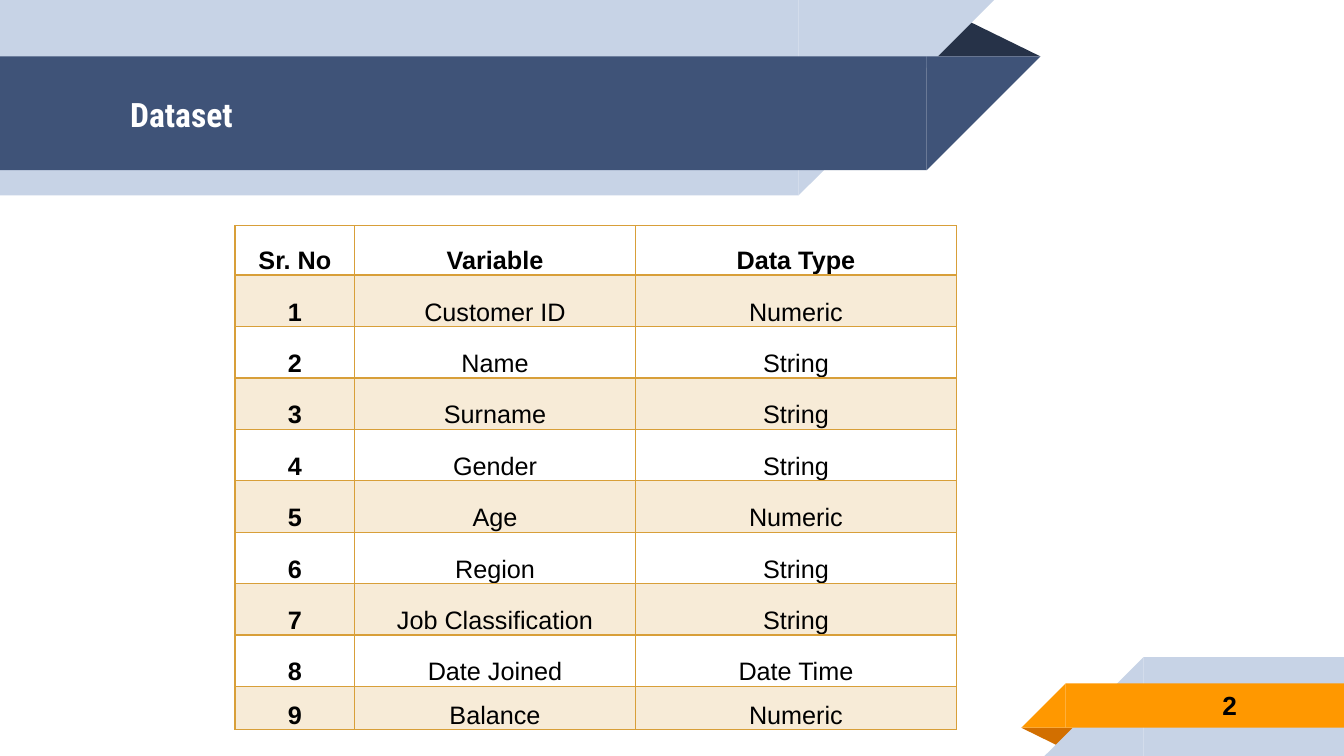
"""Build the Dataset slide: a ribbon title, a table of variables and a page number."""
from lxml import etree
from pptx import Presentation
from pptx.dml.color import RGBColor
from pptx.enum.shapes import MSO_SHAPE
from pptx.enum.text import MSO_ANCHOR, MSO_AUTO_SIZE, PP_ALIGN
from pptx.oxml.ns import qn
from pptx.util import Inches, Pt

RECT, CORNER, FOLD = MSO_SHAPE.RECTANGLE, MSO_SHAPE.RIGHT_TRIANGLE, MSO_SHAPE.ISOSCELES_TRIANGLE
LEFT, CENTER = PP_ALIGN.LEFT, PP_ALIGN.CENTER
MIDDLE, BOTTOM = MSO_ANCHOR.MIDDLE, MSO_ANCHOR.BOTTOM
NO_AUTOFIT = MSO_AUTO_SIZE.NONE

PALE = RGBColor(0xC7, 0xD3, 0xE6)
NAVY = RGBColor(0x3F, 0x53, 0x78)
DARK_NAVY = RGBColor(0x26, 0x32, 0x48)
ORANGE = RGBColor(0xFF, 0x98, 0x00)
DARK_ORANGE = RGBColor(0xD2, 0x6F, 0x00)
GOLD = RGBColor(0xD8, 0x9F, 0x39)
WHITE = RGBColor(0xFF, 0xFF, 0xFF)
BLACK = RGBColor(0, 0, 0)


def write(frame, text, size=18, font="Arial", color=BLACK, bold=False, align=CENTER, spacing=1.0):
    paragraph = frame.paragraphs[0]
    paragraph.alignment = align
    paragraph.line_spacing = spacing
    run = paragraph.add_run()
    run.text = text
    run.font.size = Pt(size)
    run.font.name = font
    run.font.bold = bold
    run.font.color.rgb = color


presentation = Presentation()
presentation.slide_width = Inches(13.33)
presentation.slide_height = Inches(7.5)
slide = presentation.slides.add_slide(presentation.slide_layouts[5])

ribbons = [
    (FOLD, 9.18, 0.18, 1.14, 0.38, DARK_NAVY, None),
    (RECT, 0, 0, 7.92, 1.94, PALE, None),
    (CORNER, 7.92, 0, 1.94, 1.94, PALE, "flipV"),
    (RECT, 0, 0.56, 9.19, 1.13, NAVY, None),
    (CORNER, 9.19, 0.56, 1.13, 1.13, NAVY, "flipV"),
    (FOLD, 10.13, 7.22, 0.57, 0.19, DARK_ORANGE, "flipV"),
    (RECT, 11.34, 6.52, 1.99, 0.98, PALE, None),
    (CORNER, 10.36, 6.52, 0.98, 0.98, PALE, "flipH"),
    (RECT, 10.57, 6.78, 2.76, 0.44, ORANGE, None),
    (CORNER, 10.13, 6.78, 0.44, 0.44, ORANGE, "flipH"),
]
for kind, left, top, width, height, color, flip in ribbons:
    ribbon = slide.shapes.add_shape(kind, Inches(left), Inches(top), Inches(width), Inches(height))
    ribbon.shadow.inherit = False
    ribbon.fill.solid()
    ribbon.fill.fore_color.rgb = color
    ribbon.line.fill.background()
    if flip:
        ribbon.element.spPr.find(qn("a:xfrm")).set(flip, "1")
    if kind == FOLD:
        ribbon.adjustments[0] = 0.68 if flip else 0.32

title = slide.shapes.title
title.left, title.top, title.width, title.height = Inches(1.19), Inches(0.57), Inches(7.67), Inches(1.12)
slide.shapes.element.append(title.element)
write(title.text_frame, "Dataset", size=24, font="Roboto Condensed", color=WHITE, bold=True, align=LEFT)

rows = [
    ("Sr. No", "Variable", "Data Type"),
    ("1", "Customer ID", "Numeric"),
    ("2", "Name", "String"),
    ("3", "Surname", "String"),
    ("4", "Gender", "String"),
    ("5", "Age", "Numeric"),
    ("6", "Region", "String"),
    ("7", "Job Classification", "String"),
    ("8", "Date Joined", "Date Time"),
    ("9", "Balance", "Numeric"),
]
column_widths = [1.19, 2.78, 3.19]
row_heights = [0.49] + [0.51] * 8 + [0.43]
variables = slide.shapes.add_table(
    len(rows), len(column_widths), Inches(2.33), Inches(2.24), Inches(7.16), Inches(5)
).table
variables.first_row = False
variables.horz_banding = False
for column, width in zip(variables.columns, column_widths):
    column.width = Inches(width)

for r, (values, height) in enumerate(zip(rows, row_heights)):
    variables.rows[r].height = Inches(height)
    for c, value in enumerate(values):
        cell = variables.cell(r, c)
        cell.vertical_anchor = BOTTOM
        cell.margin_left = cell.margin_right = Inches(0.07)
        cell.margin_top = cell.margin_bottom = 0
        write(cell.text_frame, value, bold=r == 0 or c == 0, spacing=1.07)
        properties = cell._tc.get_or_add_tcPr()
        for side in ("lnL", "lnR", "lnT", "lnB"):
            heavy = (r, side) in ((0, "lnB"), (1, "lnT"))
            border = etree.SubElement(properties, qn(f"a:{side}"), w=str(Pt(2 if heavy else 1)))
            border_fill = etree.SubElement(border, qn("a:solidFill"))
            etree.SubElement(border_fill, qn("a:srgbClr"), val=str(GOLD))
        if r % 2:
            cell.fill.solid()
            cell.fill.fore_color.rgb = GOLD
            tint = properties.find(qn("a:solidFill")).find(qn("a:srgbClr"))
            etree.SubElement(tint, qn("a:alpha"), val="20000")
        else:
            cell.fill.background()

page_number = slide.shapes.add_textbox(Inches(11.11), Inches(6.76), Inches(2.17), Inches(0.46))
write(page_number.text_frame, "2", size=18.7, bold=True)

for frame in (title.text_frame, page_number.text_frame):
    frame.word_wrap = True
    frame.auto_size = NO_AUTOFIT
    frame.vertical_anchor = MIDDLE
    frame.margin_left = frame.margin_right = Inches(0.1)
    frame.margin_top = frame.margin_bottom = Inches(0.1)

presentation.save("out.pptx")
